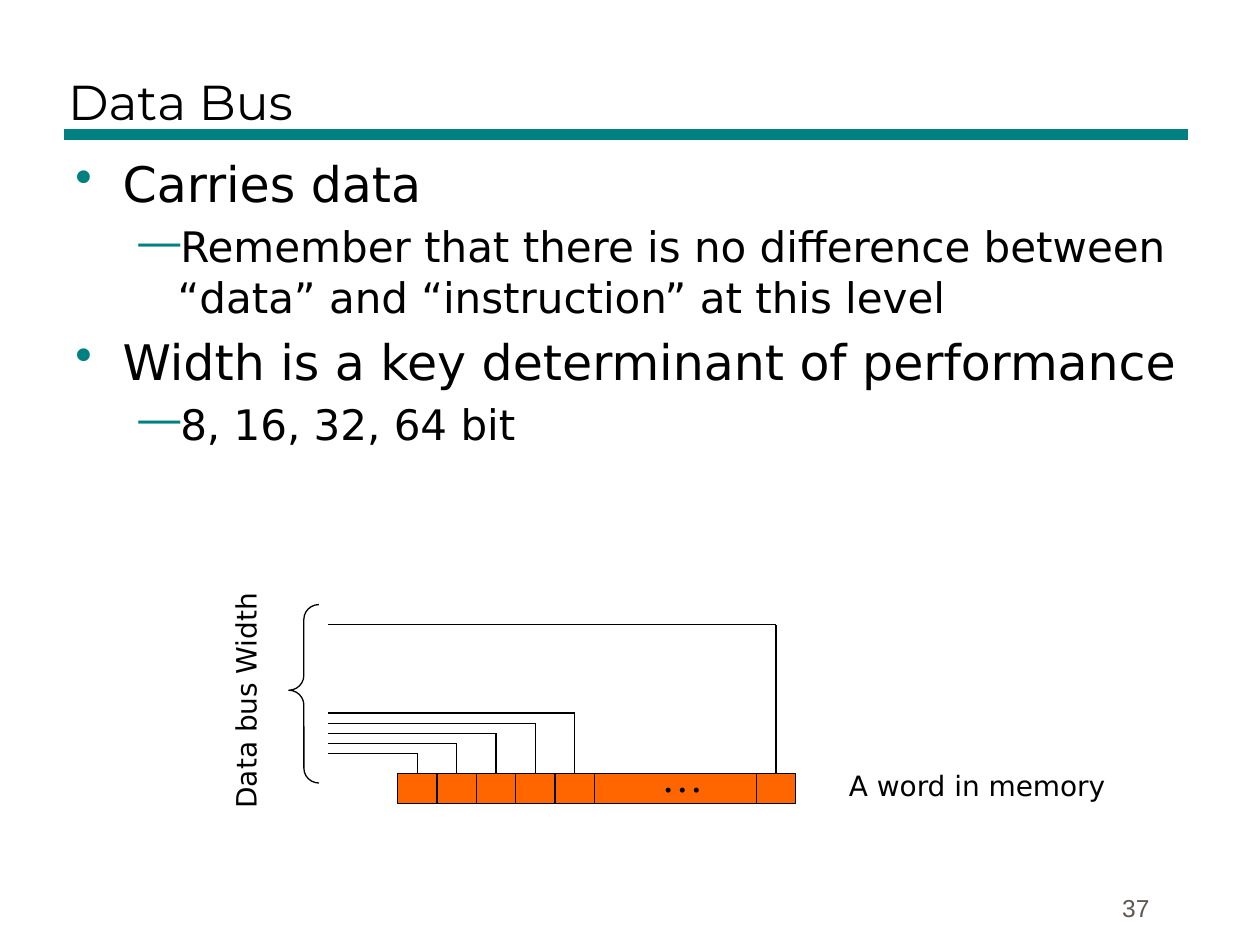
from lxml.etree import SubElement
from pptx import Presentation
from pptx.dml.color import RGBColor
from pptx.enum.shapes import MSO_CONNECTOR, MSO_SHAPE
from pptx.enum.text import MSO_ANCHOR, MSO_AUTO_SIZE, PP_ALIGN
from pptx.oxml.ns import qn
from pptx.util import Pt

COLORS = {"text": "000000", "accent": "008080", "cell": "FF6600", "number": "5E574E"}
BODY_FONT = "DejaVu Sans"
TITLE = "Data Bus"
BULLETS = [
    (0, "Carries data"),
    (1, "Remember that there is no difference between “data” and “instruction” at this level"),
    (0, "Width is a key determinant of performance"),
    (1, "8, 16, 32, 64 bit"),
]
LEVELS = [
    {"size": 28, "margin": 27, "indent": -27, "bullet": "•"},
    {"size": 24, "margin": 58.5, "indent": -22.5, "bullet": "—"},
]
LABELS = [
    ("…", (370.8, 425.5, 38.9, 36), 24, "Times New Roman", 0),
    ("A word in memory", (478, 435.6, 165, 26.6), 16, BODY_FONT, 0),
    ("Data bus Width", (70.6, 385.9, 139.7, 26.6), 16, BODY_FONT, 270),
]
CELL_WIDTHS = [22.5] * 5 + [92.5, 22.5]
WORD_LEFT, WORD_TOP, WORD_HEIGHT = 227.25, 442, 17
WIRED_CELLS = [0, 1, 2, 3, 4, 6]
WIRE_HEIGHTS = [430.5 - 5.75 * step for step in range(5)] + [357]
WIRE_LEFT = 187.5


def color(name):
    return RGBColor.from_string(COLORS[name])


def set_font(paragraph, name, size, color_name="text"):
    paragraph.font.name = name
    paragraph.font.size = Pt(size)
    paragraph.font.color.rgb = color(color_name)


def add_text_box(box, wrap=True):
    shape = slide.shapes.add_textbox(*map(Pt, box))
    shape.text_frame.word_wrap = wrap
    return shape


def add_line(start, end, color_name="text", width=0.75):
    line = slide.shapes.add_connector(
        MSO_CONNECTOR.STRAIGHT, *map(Pt, start), *map(Pt, end))
    line.line.color.rgb = color(color_name)
    line.line.width = Pt(width)
    SubElement(line._element.spPr, qn("a:effectLst"))


def add_outlined_shape(kind, box, fill=None):
    shape = slide.shapes.add_shape(kind, *map(Pt, box))
    shape.shadow.inherit = False
    if fill:
        shape.fill.solid()
        shape.fill.fore_color.rgb = color(fill)
    else:
        shape.fill.background()
    shape.line.color.rgb = color("text")
    shape.line.width = Pt(0.75)
    return shape


def add_bullet(paragraph, level):
    properties = paragraph._p.get_or_add_pPr()
    properties.set("marL", str(Pt(level["margin"])))
    properties.set("indent", str(Pt(level["indent"])))
    bullet_color = SubElement(properties, qn("a:buClr"))
    SubElement(bullet_color, qn("a:srgbClr"), val=COLORS["accent"])
    SubElement(properties, qn("a:buChar"), char=level["bullet"])


presentation = Presentation()
presentation.slide_width, presentation.slide_height = Pt(720), Pt(540)
slide = presentation.slides.add_slide(presentation.slide_layouts[5])

add_line((36.75, 77), (679, 77), "accent", 6)

title = slide.shapes.title
title.left, title.top, title.width, title.height = map(Pt, (31.75, 12.25, 646, 66))
title.text_frame.text = TITLE
title.text_frame.vertical_anchor = MSO_ANCHOR.BOTTOM
title.text_frame.paragraphs[0].alignment = PP_ALIGN.LEFT
set_font(title.text_frame.paragraphs[0], "Montserrat", 28)

body = add_text_box((36, 84.25, 643.75, 220.5)).text_frame
for index, (depth, text) in enumerate(BULLETS):
    paragraph = body.add_paragraph() if index else body.paragraphs[0]
    level = LEVELS[depth]
    paragraph.text = text
    paragraph.level = depth
    paragraph.space_before = Pt(level["size"] * 0.2)
    add_bullet(paragraph, level)
    set_font(paragraph, BODY_FONT, level["size"])

number = add_text_box((520, 490.5, 144, 40)).text_frame
number.text = "37"
number.vertical_anchor = MSO_ANCHOR.BOTTOM
number.paragraphs[0].alignment = PP_ALIGN.RIGHT
set_font(number.paragraphs[0], "Arial", 14, "number")

cell_centers = []
left = WORD_LEFT
for width in CELL_WIDTHS:
    add_outlined_shape(MSO_SHAPE.RECTANGLE, (left, WORD_TOP, width, WORD_HEIGHT), "cell")
    cell_centers.append(left + width / 2)
    left += width

for cell, height in zip(WIRED_CELLS, WIRE_HEIGHTS):
    center = cell_centers[cell]
    add_line((center, WORD_TOP), (center, height))
    add_line((center, height), (WIRE_LEFT, height))

brace = add_outlined_shape(MSO_SHAPE.LEFT_BRACE, (165, 345.5, 17.25, 102))
brace.adjustments[0], brace.adjustments[1] = 0.49, 0.48

for text, box, size, font, rotation in LABELS:
    label = add_text_box(box, wrap=False)
    label.rotation = rotation
    label.text_frame.auto_size = MSO_AUTO_SIZE.SHAPE_TO_FIT_TEXT
    label.text_frame.text = text
    set_font(label.text_frame.paragraphs[0], font, size)

presentation.save("out.pptx")
